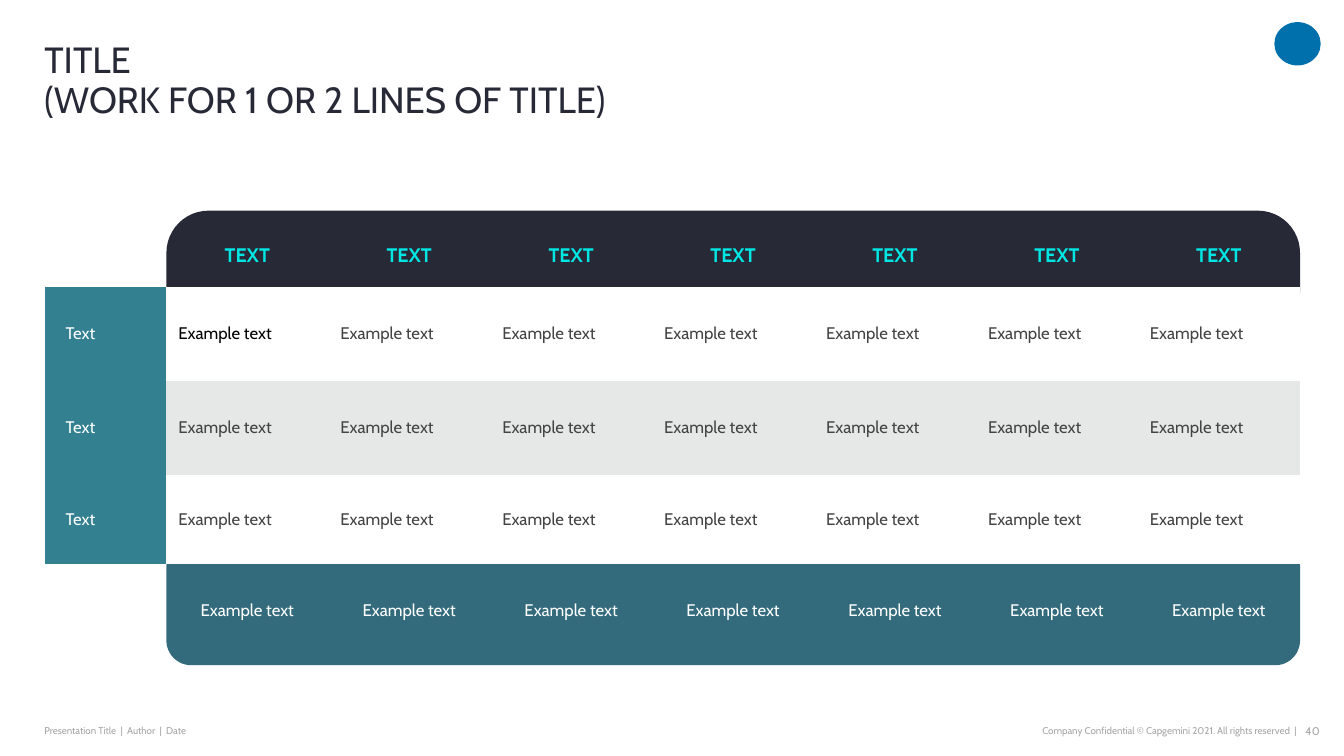
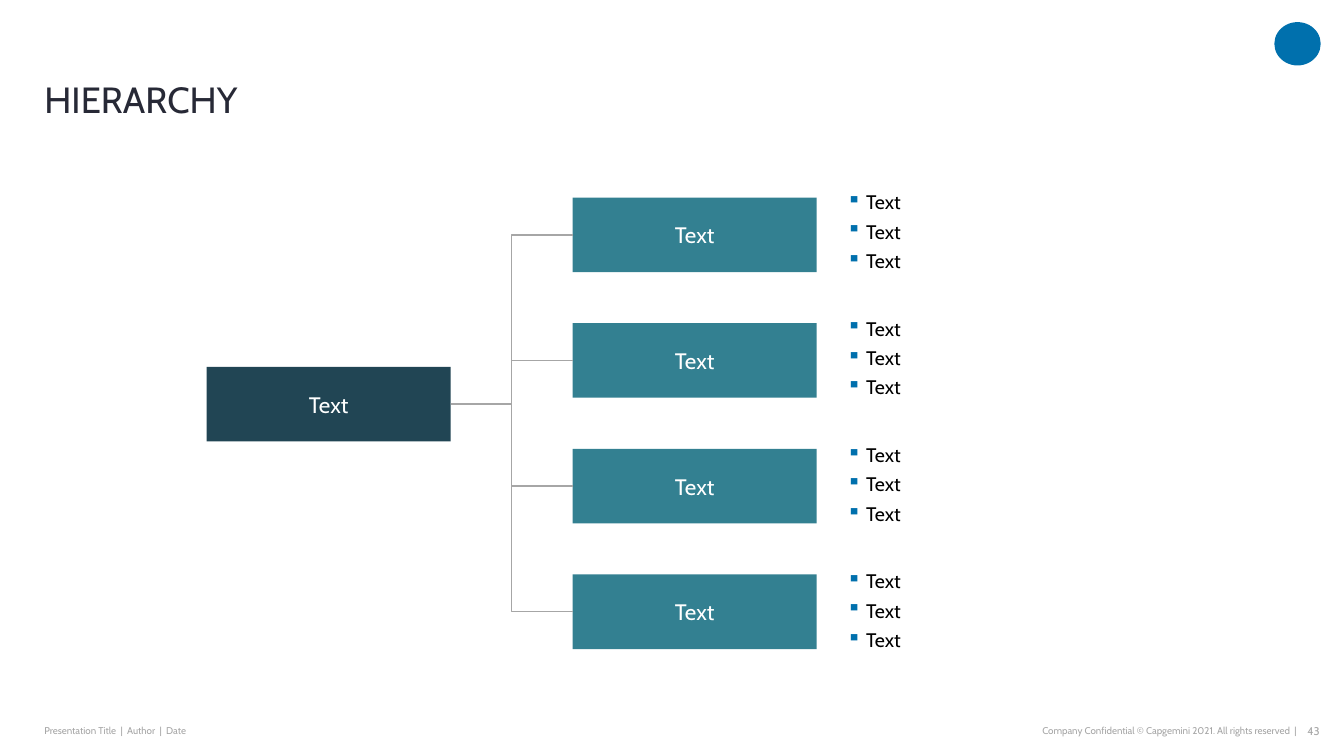
"""Build a rounded comparison table slide and a hierarchy slide."""
import copy
from dataclasses import dataclass
from typing import Any

import lxml.etree
import pptx
import pptx.dml.color
import pptx.enum.shapes
import pptx.enum.text
import pptx.oxml.ns
import pptx.util

ALIGN = pptx.enum.text.PP_ALIGN
ANCHOR = pptx.enum.text.MSO_ANCHOR
SHAPE = pptx.enum.shapes.MSO_SHAPE
qn = pptx.oxml.ns.qn
Inches = pptx.util.Inches

FONT = "Cabin"
COLORS = {
    "dark": "272936", "cyan": "00E6E3", "teal": "338091", "slate": "336B7D",
    "navy": "214554", "blue": "0070AD", "gray": "A6A6A6", "light": "E6E7E7",
    "body": "434343", "white": "FFFFFF", "black": "000000",
}
SLIDE_W, SLIDE_H = Inches(13.33), Inches(7.5)


def across(share: float) -> int:
    return round(SLIDE_W * share / 100)


def down(share: float) -> int:
    return round(SLIDE_H * share / 100)


@dataclass(frozen=True)
class Box:
    left: float
    top: float
    width: float
    height: float

    def emu(self) -> tuple[int, int, int, int]:
        return across(self.left), down(self.top), across(self.width), down(self.height)


@dataclass(frozen=True)
class Band:
    box: Box
    color: str
    radius: float


@dataclass(frozen=True)
class Footer:
    box: Box
    text: str
    size: float
    align: Any


@dataclass(frozen=True)
class Row:
    height: float
    label: str
    text: str
    fill: str | None
    color: str
    size: float = 12
    bold: bool = False
    align: Any = ALIGN.LEFT


@dataclass(frozen=True)
class Branch:
    label: str
    bullets: tuple[str, ...]


TITLE = Box(3.3, 5.6, 89.8, 10.4)
LOGO = Box(94.82, 2.93, 3.45, 5.73)
FOOTERS = (
    Footer(Box(3.3, 95.07, 27.98, 3.2), "Presentation Title  |  Author  |  Date", 7, ALIGN.LEFT),
    Footer(Box(59.26, 95.07, 37.21, 3.2),
           "Company Confidential © Capgemini 2021. All rights reserved  |", 7, ALIGN.RIGHT),
)
NUMBER = Box(96.32, 95.07, 1.88, 3.2)

BANDS = (
    Band(Box(12.38, 71.6, 84.35, 16.4), "slate", 0.2),
    Band(Box(12.38, 27.87, 84.35, 16.4), "dark", 0.34),
)
LABEL_COL, TEXT_COL, TEXT_COLS = 9.0, 12.05, 7
ROWS = (
    Row(7.73, "", "TEXT", None, "cyan", 14, True, ALIGN.CENTER),
    Row(12.4, "Text", "Example text", "white", "body"),
    Row(12.4, "Text", "Example text", "light", "body"),
    Row(11.87, "Text", "Example text", "white", "body"),
    Row(12.4, "", "Example text", None, "white", align=ALIGN.CENTER),
)

ROOT = Box(15.38, 48.53, 18.15, 9.87)
BRANCHES = (Branch("Text", ("Text",) * 3),) * 4
BRANCH_TOP, BRANCH_PITCH = 26.13, 16.62
BULLET_TOP, BULLET_PITCH = 24.27, 16.71


def rgb(name: str) -> pptx.dml.color.RGBColor:
    return pptx.dml.color.RGBColor.from_string(COLORS[name])


def add_bullet(p: Any) -> None:
    pPr = p._p.get_or_add_pPr()
    pPr.set("marL", str(Inches(0.19)))
    pPr.set("indent", str(-Inches(0.19)))
    clr = lxml.etree.SubElement(pPr, qn("a:buClr"))
    lxml.etree.SubElement(clr, qn("a:srgbClr"), val=COLORS["blue"])
    lxml.etree.SubElement(pPr, qn("a:buChar"), char="▪")


def write(tf: Any, *lines: str, size: float, color: str, align: Any = ALIGN.LEFT,
          bold: bool = False, spacing: Any = None, before: float = 0,
          bullet: bool = False) -> None:
    for i, line in enumerate(lines):
        p = tf.add_paragraph() if i else tf.paragraphs[0]
        p.text = line
        if bullet:
            add_bullet(p)
        p.alignment = align
        if spacing is not None:
            p.line_spacing = spacing
        if i and before:
            p.space_before = pptx.util.Pt(before)
        for r in p.runs:
            r.font.name, r.font.size, r.font.bold = FONT, pptx.util.Pt(size), bold
            r.font.color.rgb = rgb(color)
        for br in p._p.findall(qn("a:br")):
            br.insert(0, copy.deepcopy(p.runs[0]._r.rPr))


def set_frame(tf: Any, anchor: Any = ANCHOR.MIDDLE, inset: bool = False) -> None:
    tf.word_wrap = True
    tf.auto_size = pptx.enum.text.MSO_AUTO_SIZE.NONE
    tf.vertical_anchor = anchor
    if not inset:
        tf.margin_left = tf.margin_top = tf.margin_right = tf.margin_bottom = 0


def add_text(s: Any, box: Box, *lines: str, inset: bool = False, **fmt: Any) -> None:
    tf = s.shapes.add_textbox(*box.emu()).text_frame
    set_frame(tf, inset=inset)
    write(tf, *lines, **fmt)


def add_block(s: Any, kind: Any, box: Box, color: str, text: str = "") -> Any:
    sp = s.shapes.add_shape(kind, *box.emu())
    sp.shadow.inherit = False
    sp.fill.solid()
    sp.fill.fore_color.rgb = rgb(color)
    sp.line.fill.background()
    if text:
        set_frame(sp.text_frame)
        write(sp.text_frame, text, size=16, color="white", align=ALIGN.CENTER)
    return sp


def add_slide(prs: Any, title: str, number: int) -> Any:
    s = prs.slides.add_slide(prs.slide_layouts[5])
    sp = s.shapes.title
    sp.left, sp.top, sp.width, sp.height = TITLE.emu()
    set_frame(sp.text_frame, ANCHOR.BOTTOM)
    write(sp.text_frame, title, size=26, color="dark", spacing=0.9)
    add_block(s, SHAPE.OVAL, LOGO, "blue")
    for footer in (*FOOTERS, Footer(NUMBER, str(number), 8, ALIGN.RIGHT)):
        add_text(s, footer.box, footer.text, size=footer.size, color="gray", align=footer.align)
    return s


def fill_cell(cell: Any, text: str, fill: str | None, left: float = 0.12, **fmt: Any) -> None:
    cell.margin_left, cell.margin_right = Inches(left), Inches(0.12)
    cell.margin_top = cell.margin_bottom = 0
    cell.vertical_anchor = ANCHOR.MIDDLE
    if fill:
        cell.fill.solid()
        cell.fill.fore_color.rgb = rgb(fill)
    else:
        cell.fill.background()
    if text:
        write(cell.text_frame, text, spacing=pptx.util.Pt(14), **fmt)


def add_grid(s: Any) -> None:
    box = Box(3.38, 30.27, LABEL_COL + TEXT_COLS * TEXT_COL, sum(row.height for row in ROWS))
    table = s.shapes.add_table(len(ROWS), TEXT_COLS + 1, *box.emu()).table
    table.first_row = table.horz_banding = False
    table._tbl.tblPr.find(qn("a:tableStyleId")).text = "{2D5ABB26-0587-4C30-8999-92F81FD0307C}"
    for j, col in enumerate(table.columns):
        col.width = across(TEXT_COL if j else LABEL_COL)
    for i, row in enumerate(ROWS):
        table.rows[i].height = down(row.height)
        fill_cell(table.cell(i, 0), row.label, "teal" if row.label else None,
                  left=0.2, size=12, color="white")
        for j in range(1, TEXT_COLS + 1):
            color = "black" if (i, j) == (1, 1) else row.color
            fill_cell(table.cell(i, j), row.text, row.fill, size=row.size,
                      color=color, bold=row.bold, align=row.align)


def join(s: Any, parent: Any, child: Any) -> None:
    line = s.shapes.add_connector(
        pptx.enum.shapes.MSO_CONNECTOR.ELBOW,
        parent.left + parent.width, parent.top + parent.height // 2,
        child.left, child.top + child.height // 2)
    line.begin_connect(parent, 3)
    line.end_connect(child, 1)
    line.line.color.rgb = rgb("gray")
    line.line.width = pptx.util.Pt(1)
    lxml.etree.SubElement(line._element.spPr, qn("a:effectLst"))


def build_table_slide(prs: Any) -> None:
    s = add_slide(prs, "TITLE\v(WORK FOR 1 OR 2 LINES OF TITLE)", 40)
    for band in BANDS:
        add_block(s, SHAPE.ROUNDED_RECTANGLE, band.box, band.color).adjustments[0] = band.radius
    add_grid(s)


def build_hierarchy_slide(prs: Any) -> None:
    s = add_slide(prs, "HIERARCHY", 43)
    root = add_block(s, SHAPE.RECTANGLE, ROOT, "navy", "Text")
    for i, branch in enumerate(BRANCHES):
        box = Box(42.61, BRANCH_TOP + i * BRANCH_PITCH, ROOT.width, ROOT.height)
        child = add_block(s, SHAPE.RECTANGLE, box, "teal", branch.label)
        add_text(s, Box(62.27, BULLET_TOP + i * BULLET_PITCH, 22.36, 12.67), *branch.bullets,
                 inset=True, size=14, color="black", before=4.2, bullet=True)
        join(s, root, child)


def main() -> None:
    prs = pptx.Presentation()
    prs.slide_width, prs.slide_height = SLIDE_W, SLIDE_H
    build_table_slide(prs)
    build_hierarchy_slide(prs)
    prs.save("out.pptx")


if __name__ == "__main__":
    main()
